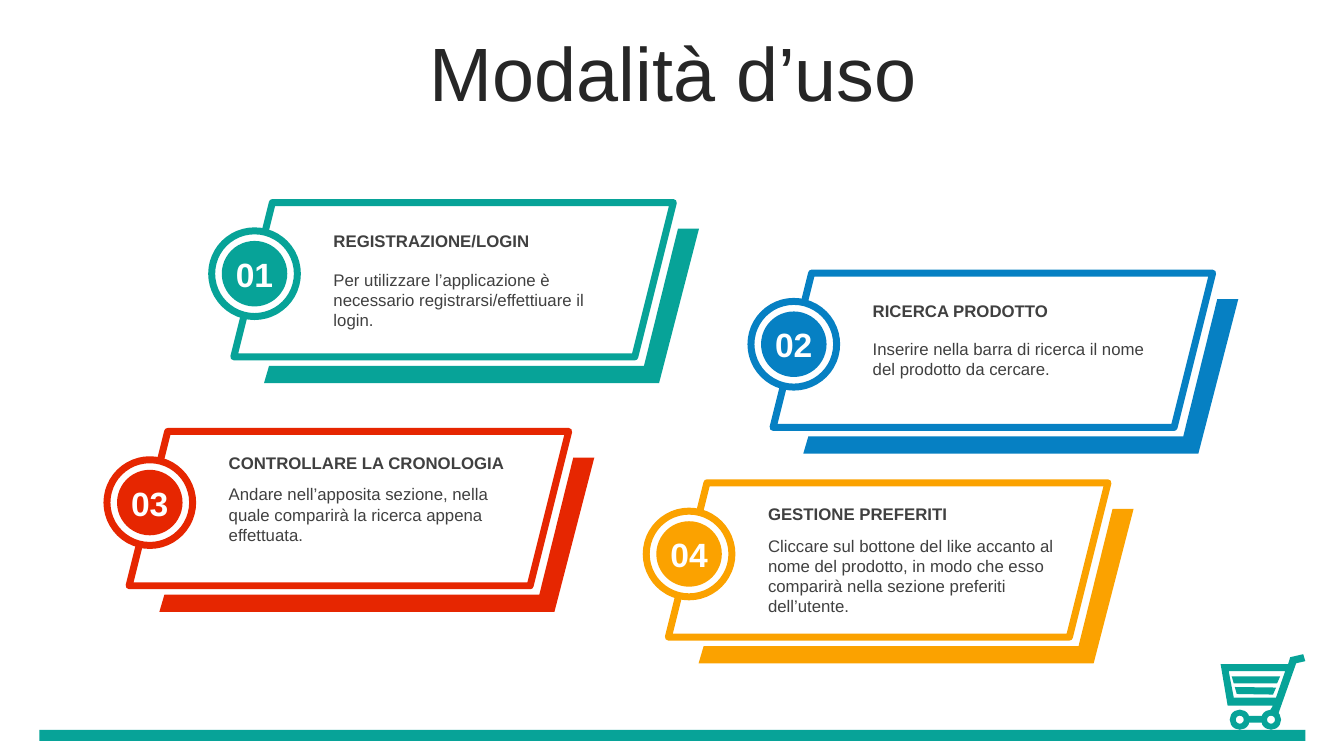
from dataclasses import dataclass

from pptx import Presentation
from pptx.dml.color import RGBColor
from pptx.enum.shapes import MSO_SHAPE
from pptx.enum.text import MSO_ANCHOR, MSO_AUTO_SIZE, PP_ALIGN
from pptx.util import Pt


@dataclass(frozen=True)
class Theme:
    font: str = "Arial"
    white: str = "FFFFFF"
    title: str = "262626"
    text: str = "404040"
    teal: str = "07A398"
    blue: str = "0680C3"
    red: str = "E62601"
    orange: str = "FBA200"
    title_size: int = 54
    number_size: int = 24
    text_size: int = 12
    outline: int = 5


THEME = Theme()
CARD_W, CARD_H = 314, 110.2

# Number, colour, left, top, heading height, heading, body
CARDS = [
    ("01", THEME.teal, 167, 144.7, 31.7, "REGISTRAZIONE/LOGIN",
     "Per utilizzare l’applicazione è necessario registrarsi/effettiuare il login."),
    ("03", THEME.red, 92.2, 308.2, 21.6, "CONTROLLARE LA CRONOLOGIA",
     "Andare nell’apposita sezione, nella quale comparirà la ricerca appena effettuata."),
    ("02", THEME.blue, 552.2, 195.1, 31, "RICERCA PRODOTTO",
     "Inserire nella barra di ricerca il nome del prodotto da cercare."),
    ("04", THEME.orange, 477.4, 344.9, 21.6, "GESTIONE PREFERITI",
     "Cliccare sul bottone del like accanto al nome del prodotto, in modo che esso "
     "comparirà nella sezione preferiti dell’utente."),
]

# Outlines, relative to the top left of their box
CARD_SHADOW = [(317.3, 18.6), (332.3, 18.6), (303.8, 128.9),
               (21.6, 128.9), (25.2, 116.6), (293, 116.6)]
CART_BASKET = [
    [(59, 0), (49.7, 2.2), (48.2, 7.2), (0, 7.2), (5, 36.7),
     (37.4, 36.7), (35.3, 40.3), (41, 43.2), (54, 6.5), (60.5, 5)],
    [(46.1, 12.2), (39.6, 31), (9.4, 31), (5.8, 12.2)],
]
CART_BARS = [
    [(7.9, 15.8), (9.4, 20.9), (40.3, 20.9), (42.5, 15.8)],
    [(10.1, 23.4), (11.5, 28.4), (37.4, 28.8), (39.6, 23.8)],
]


def paint(sp, fill, line=None):
    sp.shadow.inherit = False
    sp.fill.solid()
    sp.fill.fore_color.rgb = RGBColor.from_string(fill)
    if line:
        sp.line.color.rgb = RGBColor.from_string(line)
        sp.line.width = Pt(THEME.outline)
    else:
        sp.line.fill.background()


def add_preset(shapes, kind, x, y, w, h, fill, line=None):
    sp = shapes.add_shape(kind, Pt(x), Pt(y), Pt(w), Pt(h))
    paint(sp, fill, line)
    return sp


def add_outline(shapes, x, y, contours, fill):
    placed = [[(Pt(x + dx), Pt(y + dy)) for dx, dy in c] for c in contours]
    first, *holes = placed
    builder = shapes.build_freeform(*first[0])
    builder.add_line_segments(first[1:], close=True)
    for hole in holes:
        builder.move_to(*hole[0])
        builder.add_line_segments(hole[1:], close=True)
    paint(builder.convert_to_shape(), fill)


def write(tf, text, size, color, bold=False, align=PP_ALIGN.LEFT, anchor=MSO_ANCHOR.TOP):
    tf.auto_size = MSO_AUTO_SIZE.NONE
    tf.vertical_anchor = anchor
    p = tf.paragraphs[0]
    p.text = text
    p.alignment = align
    p.font.name = THEME.font
    p.font.size = Pt(size)
    p.font.bold = bold
    p.font.color.rgb = RGBColor.from_string(color)
    return p


def add_text(shapes, x, y, w, h, text, **style):
    tf = shapes.add_textbox(Pt(x), Pt(y), Pt(w), Pt(h)).text_frame
    tf.word_wrap = True
    write(tf, text, THEME.text_size, THEME.text, **style)


def add_title(s, x, y, w, h):
    title = s.shapes.title
    title.left, title.top, title.width, title.height = Pt(x), Pt(y), Pt(w), Pt(h)
    p = write(title.text_frame, "Modalità d’uso", THEME.title_size, THEME.title,
              align=PP_ALIGN.CENTER, anchor=MSO_ANCHOR.MIDDLE)
    p.line_spacing = 0.9


def add_badge(shapes, x, y, number, color):
    ring, gap = 61.2, 7.2
    disc = ring - 2 * gap
    add_preset(shapes, MSO_SHAPE.OVAL, x, y, ring, ring, THEME.white, color)
    sp = add_preset(shapes, MSO_SHAPE.OVAL, x + gap, y + gap, disc, disc, color)
    tf = sp.text_frame
    tf.word_wrap = False
    tf.margin_left = tf.margin_right = tf.margin_top = tf.margin_bottom = 0
    write(tf, number, THEME.number_size, THEME.white, bold=True,
          align=PP_ALIGN.CENTER, anchor=MSO_ANCHOR.MIDDLE)


def add_card(s, number, color, x, y, heading_h, heading, body):
    shapes = s.shapes.add_group_shape().shapes
    # Panel and its solid shadow
    add_preset(shapes, MSO_SHAPE.PARALLELOGRAM, x, y, CARD_W, CARD_H, THEME.white, color)
    add_outline(shapes, x, y, [CARD_SHADOW], color)
    # Heading and body
    text_x, text_y, text_w = x + 64.1, y + 11.3, 221.8
    body_y = text_y + heading_h + 1.2
    add_text(shapes, text_x, text_y, text_w, heading_h, heading,
             bold=True, anchor=MSO_ANCHOR.MIDDLE)
    add_text(shapes, text_x, body_y, text_w, y + CARD_H - body_y, body)
    add_badge(shapes, x - 15.8, y + 20.2, number, color)


def add_cart(s, x, y):
    shapes = s.shapes.add_group_shape().shapes
    add_outline(shapes, x, y, CART_BASKET, THEME.teal)
    for bar in CART_BARS:
        add_outline(shapes, x, y, [bar], THEME.teal)
    # Wheels and axle
    wheel = 14.4
    for dx in (6.5, 28.8):
        sp = add_preset(shapes, MSO_SHAPE.DONUT, x + dx, y + 39.6, wheel, wheel, THEME.teal)
        sp.adjustments[0] = 0.3
    add_preset(shapes, MSO_SHAPE.RECTANGLE, x + 19.6, y + 44, 10.5, 5, THEME.teal)


def main():
    prs = Presentation()
    prs.slide_width, prs.slide_height = Pt(960), Pt(540)
    s = prs.slides.add_slide(prs.slide_layouts[5])
    # Footer
    add_cart(s, 871.9, 467.3)
    add_preset(s.shapes, MSO_SHAPE.RECTANGLE, 28.1, 521.3, 904.3, 7.9, THEME.teal)
    # Title and cards
    add_title(s, 25.2, 26.6, 911.5, 56.9)
    for card in CARDS:
        add_card(s, *card)
    prs.save("out.pptx")


if __name__ == "__main__":
    main()
